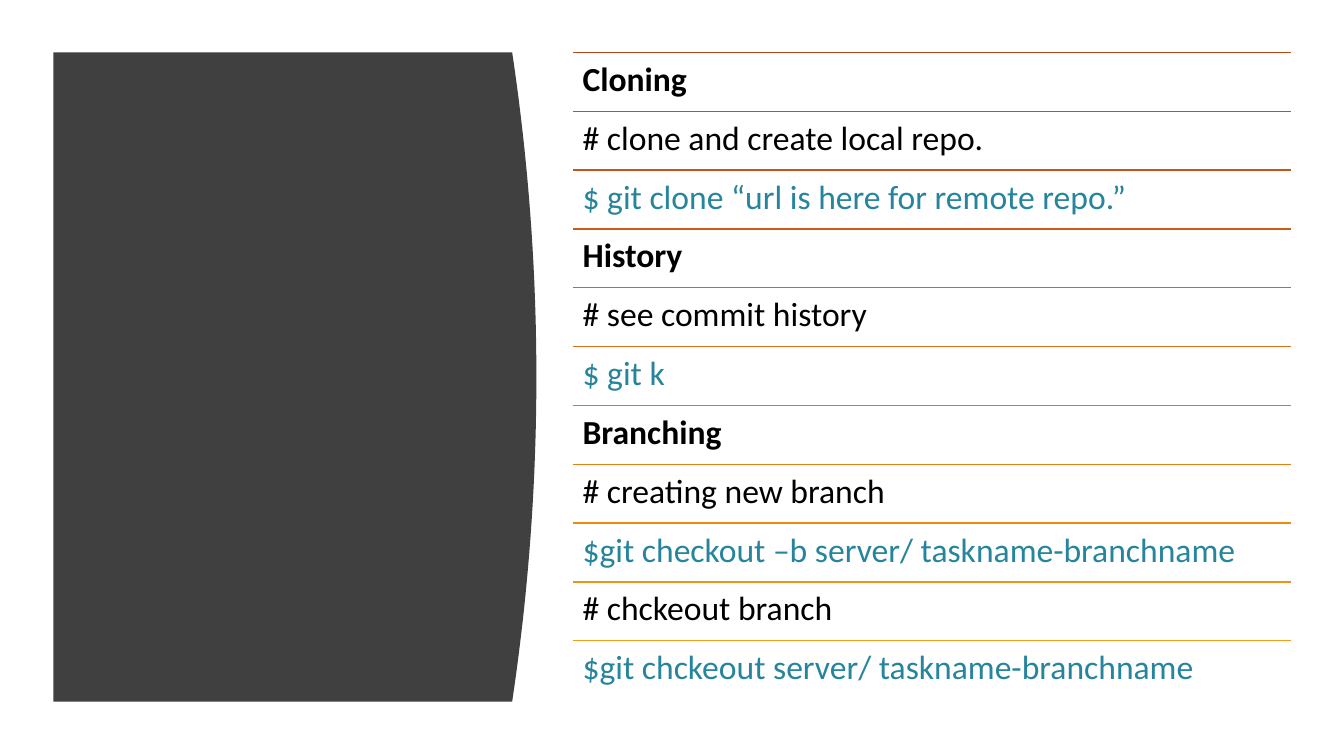
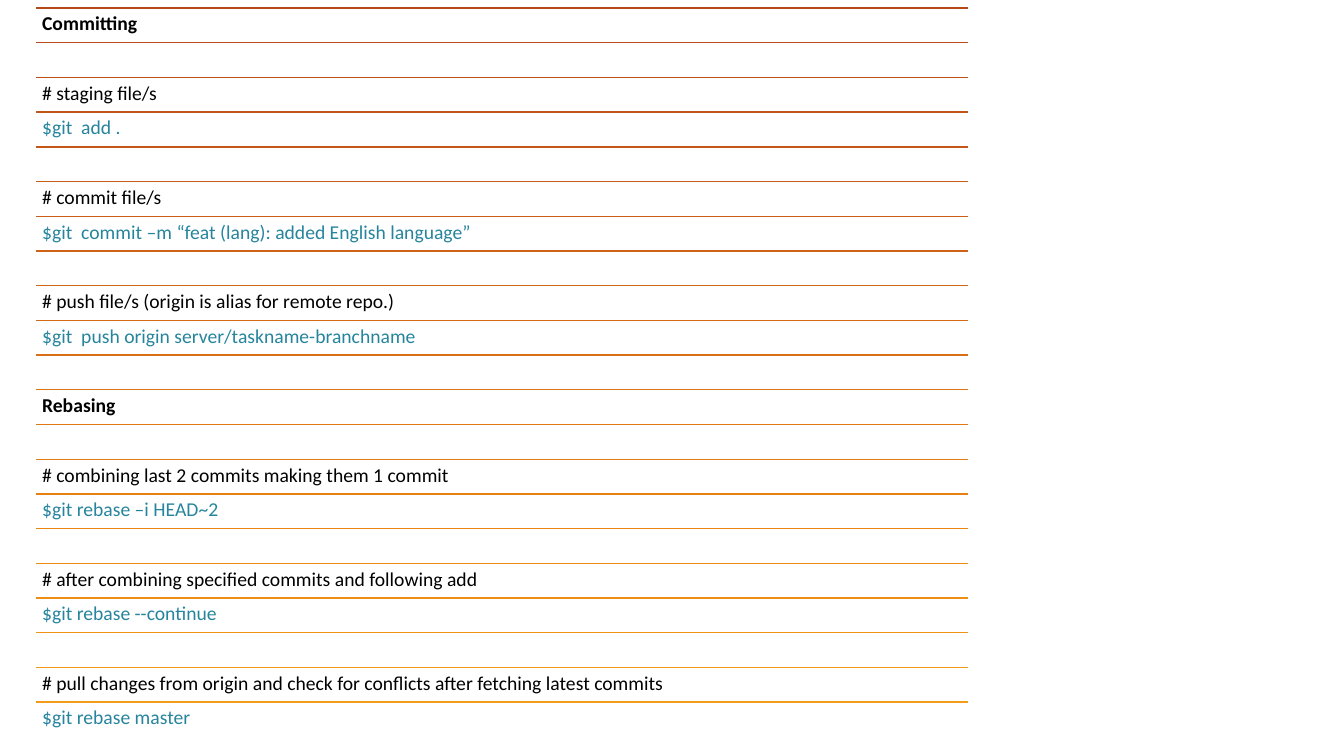
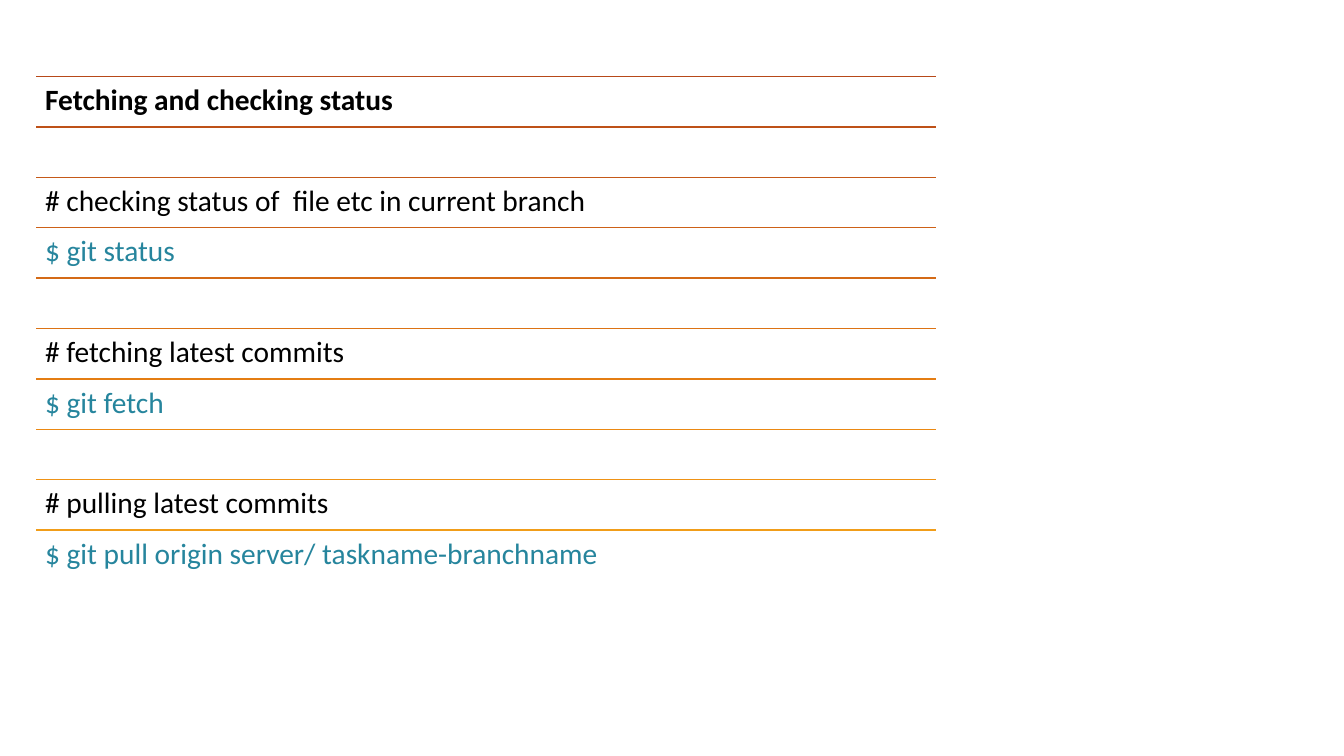
"""Build three slides of Git commands as ruled lists."""
from lxml import etree
from pptx import Presentation
from pptx.dml.color import RGBColor
from pptx.enum.shapes import MSO_CONNECTOR
from pptx.enum.text import MSO_ANCHOR
from pptx.oxml.ns import qn
from pptx.util import Inches, Pt

STRAIGHT = MSO_CONNECTOR.STRAIGHT
TOP = MSO_ANCHOR.TOP
FONT = "Calibri"
PANEL, TEXT, COMMAND = "404040", "000000", "26859D"
RULES = ["B74919", "C45718", "D16616", "DF7714", "ED8A12", "F19D19"]


def color(value):
    return RGBColor.from_string(value)


def rule_color(share):
    """Return the hex colour at a share (0 to 1) of the RULES gradient."""
    pos = share * (len(RULES) - 1)
    i = min(int(pos), len(RULES) - 2)
    pairs = zip(color(RULES[i]), color(RULES[i + 1]))
    return "".join(f"{round(a + (b - a) * (pos - i)):02X}" for a, b in pairs)


LISTS = [
    {"left": 5.68, "right": 12.8, "top": 0.52, "bottom": 6.94, "size": 24, "rows": [
        "Cloning",
        "# clone and create local repo.",
        "$ git clone “url is here for remote repo.”",
        "History",
        "# see commit history",
        "$ git k",
        "Branching",
        "# creating new branch",
        "$git checkout –b server/ taskname-branchname",
        "# chckeout branch",
        "$git chckeout server/ taskname-branchname",
    ]},
    {"left": 0.36, "right": 9.6, "top": 0.08, "bottom": 7.31, "size": 14, "rows": [
        "Committing",
        "",
        "# staging file/s",
        "$git  add .",
        "",
        "# commit file/s",
        "$git  commit –m “feat (lang): added English language”",
        "",
        "# push file/s (origin is alias for remote repo.)",
        "$git  push origin server/taskname-branchname",
        "",
        "Rebasing",
        "",
        "# combining last 2 commits making them 1 commit",
        "$git rebase –i HEAD~2",
        "",
        "# after combining specified commits and following add",
        "$git rebase --continue",
        "",
        "# pull changes from origin and check for conflicts after fetching latest commits",
        "$git rebase master",
    ]},
    {"left": 0.36, "right": 9.28, "top": 0.76, "bottom": 5.76, "size": 21, "rows": [
        "Fetching and checking status",
        "",
        "# checking status of  file etc in current branch",
        "$ git status",
        "",
        "# fetching latest commits",
        "$ git fetch",
        "",
        "# pulling latest commits",
        "$ git pull origin server/ taskname-branchname",
    ]},
]

prs = Presentation()
prs.slide_width, prs.slide_height = Inches(13.33), Inches(7.5)
blank = prs.slide_layouts[6]

for page in LISTS:
    s = prs.slides.add_slide(blank)
    rows = page["rows"]
    left, right = Inches(page["left"]), Inches(page["right"])
    pitch = (page["bottom"] - page["top"]) / len(rows)
    margin = Inches(page["size"] / 240)
    for i, text in enumerate(rows):
        y = Inches(page["top"] + i * pitch)
        rule = s.shapes.add_connector(STRAIGHT, left, y, right, y)
        rule.line.color.rgb = color(rule_color(i / (len(rows) - 1)))
        rule.line.width = Pt(1)
        etree.SubElement(rule._element.spPr, qn("a:effectLst"))
        if not text:
            continue
        tf = s.shapes.add_textbox(left, y, right - left, Inches(pitch)).text_frame
        tf.word_wrap = True
        tf.vertical_anchor = TOP
        tf.margin_left = tf.margin_right = tf.margin_top = tf.margin_bottom = margin
        p = tf.paragraphs[0]
        p.text = text
        p.line_spacing = 0.9
        font = p.runs[0].font
        font.name, font.size = FONT, Pt(page["size"])
        font.bold = text[0] not in "#$"
        font.color.rgb = color(COMMAND if text[0] == "$" else TEXT)

panel_left, panel_right, panel_top, panel_bottom = 0.53, 5.08, 0.52, 6.96
bulge, steps = 0.24, 40
edge = []
for i in range(steps + 1):
    share = i / steps
    x = panel_right + bulge * (1 - (2 * share - 1) ** 2)
    edge.append((Inches(x), Inches(panel_top + share * (panel_bottom - panel_top))))
outline = prs.slides[0].shapes.build_freeform(Inches(panel_left), Inches(panel_top))
outline.add_line_segments(edge + [(Inches(panel_left), Inches(panel_bottom))], close=True)
panel = outline.convert_to_shape()
panel.shadow.inherit = False
panel.fill.solid()
panel.fill.fore_color.rgb = color(PANEL)
panel.line.fill.background()

prs.save("out.pptx")
